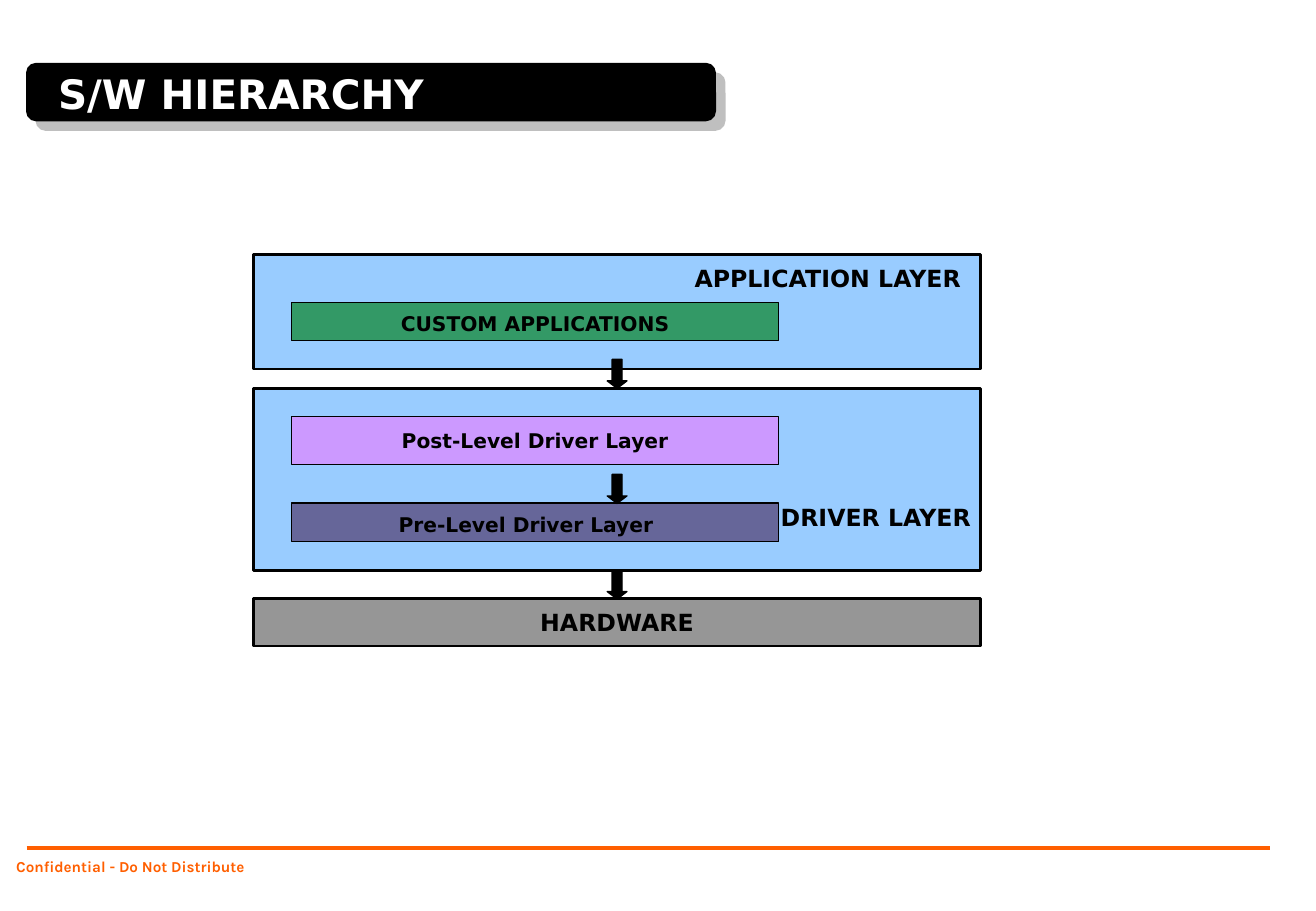
import lxml.etree
import pptx
import pptx.dml.color
import pptx.enum.shapes
import pptx.enum.text
import pptx.oxml
import pptx.oxml.ns
import pptx.util

Pt = pptx.util.Pt
SHAPE = pptx.enum.shapes.MSO_SHAPE
ALIGN = pptx.enum.text.PP_ALIGN
ANCHOR = pptx.enum.text.MSO_ANCHOR

# Content
SLIDE_SIZE = (780.48, 540)
TITLE = "S/W HIERARCHY"
FOOTER = "Confidential - Do Not Distribute"
ORANGE = "FF5F00"
LAYER_LEFT, LAYER_WIDTH = 150.5, 431
STAGE_LEFT, STAGE_WIDTH = 172.8, 289.2

# Layers: top, height, fill
LAYERS = [(230.2, 108, "99CCFF"), (150.9, 67.9, "99CCFF")]
HARDWARE = ("HARDWARE", 354.7, 28.3, "969696")
# Layer labels: text, left, top, right
LABELS = [
    ("APPLICATION LAYER", 400, 156.2, 570),
    ("DRIVER LAYER", 462, 298.1, 575.9),
]
LABEL_HEIGHT = 16.6
# Stages inside the layers: text, top, height, fill, text insets
STAGES = [
    ("CUSTOM APPLICATIONS", 179.3, 22.7, "339966", (0, 2, 0, 0)),
    ("Post-Level Driver Layer", 247, 28.3, "CC99FF", (0, 0, 0, 0)),
    ("Pre-Level Driver Layer", 298.1, 23, "666699", (0, 2.5, 10.8, 0)),
]
ARROW_TOPS = [213, 281.2, 337.9]
ARROW_WIDTH, ARROW_HEIGHT = 11.8, 17.3


def color(hex_text):
    return pptx.dml.color.RGBColor.from_string(hex_text)


def write(box, text, size=12, font="DejaVu Sans", ink="000000", align=ALIGN.CENTER,
          anchor=ANCHOR.MIDDLE, insets=(0, 0, 0, 0), spacing=None):
    frame = box.text_frame
    frame.word_wrap = True
    frame.vertical_anchor = anchor
    (frame.margin_left, frame.margin_top,
     frame.margin_right, frame.margin_bottom) = map(Pt, insets)
    para = frame.paragraphs[0]
    para.alignment = align
    para.line_spacing = spacing
    span = para.add_run()
    span.text = text
    span.font.size = Pt(size)
    span.font.name = font
    span.font.bold = True
    span.font.color.rgb = color(ink)


def add_block(page, kind, left, top, width, height, fill, line_width=0.75):
    block = page.shapes.add_shape(kind, Pt(left), Pt(top), Pt(width), Pt(height))
    block.shadow.inherit = False
    block.fill.solid()
    block.fill.fore_color.rgb = color(fill)
    block.line.color.rgb = color("000000")
    block.line.width = Pt(line_width)
    return block


def add_layer(page, top, height, fill):
    return add_block(page, SHAPE.RECTANGLE, LAYER_LEFT, top, LAYER_WIDTH, height,
                     fill, line_width=1.5)


def add_title(page):
    banner = add_block(page, SHAPE.ROUNDED_RECTANGLE, 15.8, 37.6, 408.5, 34, "000000")
    banner.adjustments[0] = 0.167
    effects = banner._element.spPr.find(pptx.oxml.ns.qn("a:effectLst"))
    effects.append(pptx.oxml.parse_xml(
        f'<a:outerShdw {pptx.oxml.ns.nsdecls("a")} blurRad="0" dist="{Pt(8)}" '
        'dir="2700000" algn="ctr" rotWithShape="0"><a:srgbClr val="808080">'
        '<a:alpha val="50000"/></a:srgbClr></a:outerShdw>'))
    write(banner, TITLE, size=24, ink="FFFFFF", align=ALIGN.LEFT,
          insets=(17, 1, 7.2, 0))


def add_footer(page):
    rule = page.shapes.add_connector(pptx.enum.shapes.MSO_CONNECTOR.STRAIGHT,
                                     Pt(15.8), Pt(502.6), Pt(753.1), Pt(502.6))
    rule.line.color.rgb = color(ORANGE)
    rule.line.width = Pt(2)
    lxml.etree.SubElement(rule._element.spPr, pptx.oxml.ns.qn("a:effectLst"))
    box = page.shapes.add_textbox(Pt(6.2), Pt(506.9), Pt(263.5), Pt(19.4))
    write(box, FOOTER, size=9, font="Karla", ink=ORANGE, align=ALIGN.LEFT,
          anchor=ANCHOR.TOP, insets=(3.4, 0, 3.6, 0), spacing=1.1)


def main():
    deck = pptx.Presentation()
    deck.slide_width, deck.slide_height = map(Pt, SLIDE_SIZE)
    page = deck.slides.add_slide(deck.slide_layouts[6])

    add_footer(page)
    add_title(page)

    # Layers, then the stages and labels on top of them
    for top, height, fill in LAYERS:
        add_layer(page, top, height, fill)
    text, top, height, fill = HARDWARE
    write(add_layer(page, top, height, fill), text, size=14)
    for text, top, height, fill, insets in STAGES:
        stage = add_block(page, SHAPE.RECTANGLE, STAGE_LEFT, top, STAGE_WIDTH,
                          height, fill)
        write(stage, text, insets=insets)
    for text, left, top, right in LABELS:
        label = page.shapes.add_textbox(Pt(left), Pt(top), Pt(right - left),
                                        Pt(LABEL_HEIGHT))
        write(label, text, size=14, align=ALIGN.RIGHT, anchor=ANCHOR.TOP)

    # Arrows on the centre line of the layers
    arrow_left = LAYER_LEFT + (LAYER_WIDTH - ARROW_WIDTH) / 2
    for top in ARROW_TOPS:
        arrow = add_block(page, SHAPE.DOWN_ARROW, arrow_left, top, ARROW_WIDTH,
                          ARROW_HEIGHT, "000000")
        arrow.adjustments[0] = 0.5
        arrow.adjustments[1] = 0.38

    deck.save("out.pptx")


if __name__ == "__main__":
    main()
